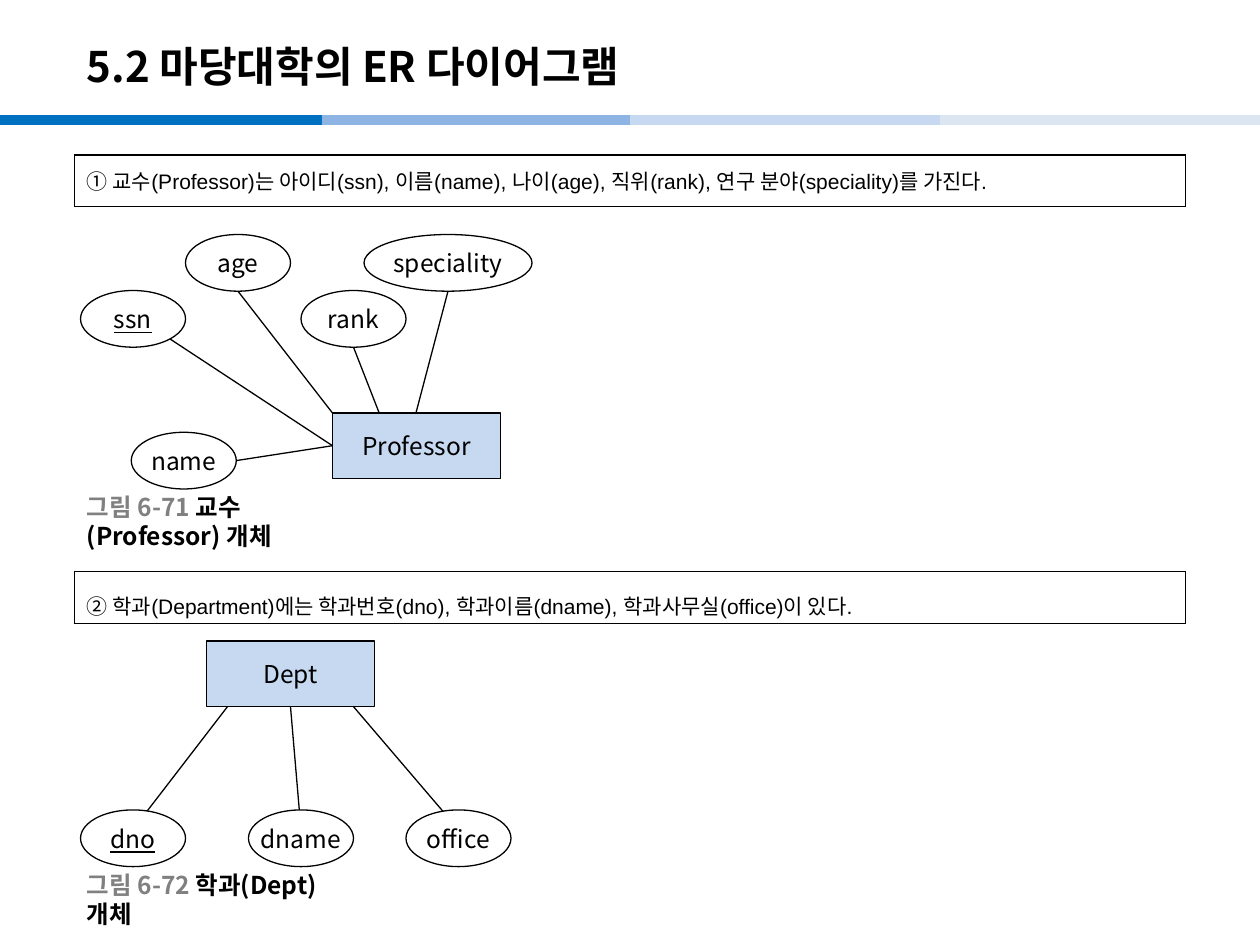
from typing import NamedTuple

from lxml.etree import SubElement
from pptx import Presentation
from pptx.dml.color import RGBColor
from pptx.enum.shapes import MSO_CONNECTOR, MSO_SHAPE
from pptx.enum.text import MSO_ANCHOR, PP_ALIGN
from pptx.oxml.ns import qn
from pptx.util import Pt

FONT = "Noto Sans CJK KR"
BLACK, WHITE, GRAY, ENTITY_BLUE = "000000", "FFFFFF", "808080", "C6D9F1"
LEFT_MARGIN = 42.5
ENTITY_WIDTH, ENTITY_HEIGHT = 96, 37.5
ATTRIBUTE_WIDTH, ATTRIBUTE_HEIGHT = 60, 32.4


class Segment(NamedTuple):
    start: tuple[float, float]
    end: tuple[float, float]


class Attribute(NamedTuple):
    name: str
    left: float
    top: float
    link: Segment
    width: float = ATTRIBUTE_WIDTH
    is_key: bool = False


class Entity(NamedTuple):
    name: str
    left: float
    top: float
    attributes: list[Attribute]


class Section(NamedTuple):
    statement: str
    statement_top: float
    line_spacing: float
    entity: Entity
    figure: str
    caption: str
    caption_top: float


BARS = [
    ("0070C0", 0, 184.3),
    ("8EB4E3", 184.3, 368.6),
    ("C6D9F1", 360, 544.3),
    ("DCE6F2", 537.1, 720),
]
SECTIONS = [
    Section(
        "① 교수(Professor)는 아이디(ssn), 이름(name), 나이(age), 직위(rank), 연구 분야(speciality)를 가진다.",
        88.5, 1.0,
        Entity("Professor", 190, 236, [
            Attribute("age", 106, 134, Segment((136, 166.4), (190, 236))),
            Attribute("ssn", 46, 166, Segment((97, 193.6), (190, 254.7)), is_key=True),
            Attribute("rank", 172, 166, Segment((202, 198.4), (216.7, 236))),
            Attribute("speciality", 208, 134, Segment((256, 166.4), (237.7, 236)), width=96),
            Attribute("name", 75, 247, Segment((135, 263.2), (190, 254.7))),
        ]),
        "그림 6-71 ", "교수(Professor) 개체", 286.6,
    ),
    Section(
        "② 학과(Department)에는 학과번호(dno), 학과이름(dname), 학과사무실(office)이 있다.",
        326.7, 1.4,
        Entity("Dept", 118, 366.3, [
            Attribute("dno", 46, 462.8, Segment((130, 403.8), (76, 474))),
            Attribute("dname", 142, 462.8, Segment((166, 403.8), (172, 474))),
            Attribute("office", 232, 462.8, Segment((202, 403.8), (262, 474))),
        ]),
        "그림 6-72 ", "학과(Dept) 개체", 502.6,
    ),
]
# The key of Dept is underlined like the key of Professor.
KEY_NAMES = {"ssn", "dno"}


def color(hex_value: str) -> RGBColor:
    return RGBColor.from_string(hex_value)


def add_text(paragraph, text: str, *, size: float = 14, font: str = FONT,
             text_color: str = BLACK, bold: bool = False, underline: bool = False) -> None:
    """Append a formatted run whose Korean letters always use FONT."""
    run = paragraph.add_run()
    run.text = text
    run.font.size = Pt(size)
    run.font.name = font
    run.font.bold = bold
    run.font.underline = underline
    run.font.color.rgb = color(text_color)
    SubElement(run.font._element, qn("a:ea")).set("typeface", FONT)


def add_line(slide, segment: Segment, line_color: str = BLACK, width: float = 0.75) -> None:
    connector = slide.shapes.add_connector(
        MSO_CONNECTOR.STRAIGHT, *(Pt(value) for value in (*segment.start, *segment.end)))
    connector.line.color.rgb = color(line_color)
    connector.line.width = Pt(width)
    SubElement(connector._element.spPr, qn("a:effectLst"))


def add_node(slide, kind: MSO_SHAPE, text: str, left: float, top: float, width: float,
             height: float, fill: str, underline: bool = False) -> None:
    """Draw an outlined shape with centred text."""
    shape = slide.shapes.add_shape(kind, Pt(left), Pt(top), Pt(width), Pt(height))
    shape.shadow.inherit = False
    shape.fill.solid()
    shape.fill.fore_color.rgb = color(fill)
    shape.line.color.rgb = color(BLACK)
    shape.line.width = Pt(0.75)
    frame = shape.text_frame
    frame.word_wrap = False
    frame.vertical_anchor = MSO_ANCHOR.MIDDLE
    frame.paragraphs[0].alignment = PP_ALIGN.CENTER
    add_text(frame.paragraphs[0], text, underline=underline)


def add_text_box(slide, top: float, width: float, height: float, wrap: bool):
    """Add a text box at the left margin and return its paragraph."""
    box = slide.shapes.add_textbox(Pt(LEFT_MARGIN), Pt(top), Pt(width), Pt(height))
    box.text_frame.word_wrap = wrap
    box.text_frame.vertical_anchor = MSO_ANCHOR.MIDDLE
    return box.text_frame.paragraphs[0]


def add_statement(slide, text: str, top: float, line_spacing: float) -> None:
    """Draw a bordered one-cell table."""
    table = slide.shapes.add_table(
        1, 1, Pt(LEFT_MARGIN), Pt(top), Pt(635), Pt(29.5)).table
    table.first_row = False
    table.horz_banding = False
    cell = table.cell(0, 0)
    cell.vertical_anchor = MSO_ANCHOR.MIDDLE
    properties = cell._tc.get_or_add_tcPr()
    for side in ("a:lnL", "a:lnR", "a:lnT", "a:lnB"):
        border = SubElement(properties, qn(side), w=str(Pt(1)))
        border_fill = SubElement(border, qn("a:solidFill"))
        SubElement(border_fill, qn("a:srgbClr"), val=BLACK)
    cell.fill.solid()
    cell.fill.fore_color.rgb = color(WHITE)
    paragraph = cell.text_frame.paragraphs[0]
    paragraph.line_spacing = line_spacing
    add_text(paragraph, text, size=12, font="Arial")


def add_entity(slide, entity: Entity) -> None:
    """Draw the links first, so that the nodes cover their ends."""
    for attribute in entity.attributes:
        add_line(slide, attribute.link)
    add_node(slide, MSO_SHAPE.RECTANGLE, entity.name, entity.left, entity.top,
             ENTITY_WIDTH, ENTITY_HEIGHT, ENTITY_BLUE)
    for attribute in entity.attributes:
        add_node(slide, MSO_SHAPE.OVAL, attribute.name, attribute.left, attribute.top,
                 attribute.width, ATTRIBUTE_HEIGHT, WHITE,
                 underline=attribute.name in KEY_NAMES)


def add_section(slide, section: Section) -> None:
    add_statement(slide, section.statement, section.statement_top, section.line_spacing)
    add_entity(slide, section.entity)
    paragraph = add_text_box(slide, section.caption_top, 147.6, 22.3, wrap=False)
    add_text(paragraph, section.figure, text_color=GRAY, bold=True)
    add_text(paragraph, section.caption, bold=True)


def main() -> None:
    presentation = Presentation()
    presentation.slide_width, presentation.slide_height = Pt(720), Pt(540)
    slide = presentation.slides.add_slide(presentation.slide_layouts[6])
    for bar_color, left, right in BARS:
        add_line(slide, Segment((left, 68.5), (right, 68.5)), bar_color, width=6)
    title = add_text_box(slide, 16, 595.5, 43, wrap=True)
    add_text(title, "5.2 마당대학의 ER 다이어그램", size=24, bold=True)
    for section in SECTIONS:
        add_section(slide, section)
    presentation.save("out.pptx")


if __name__ == "__main__":
    main()
